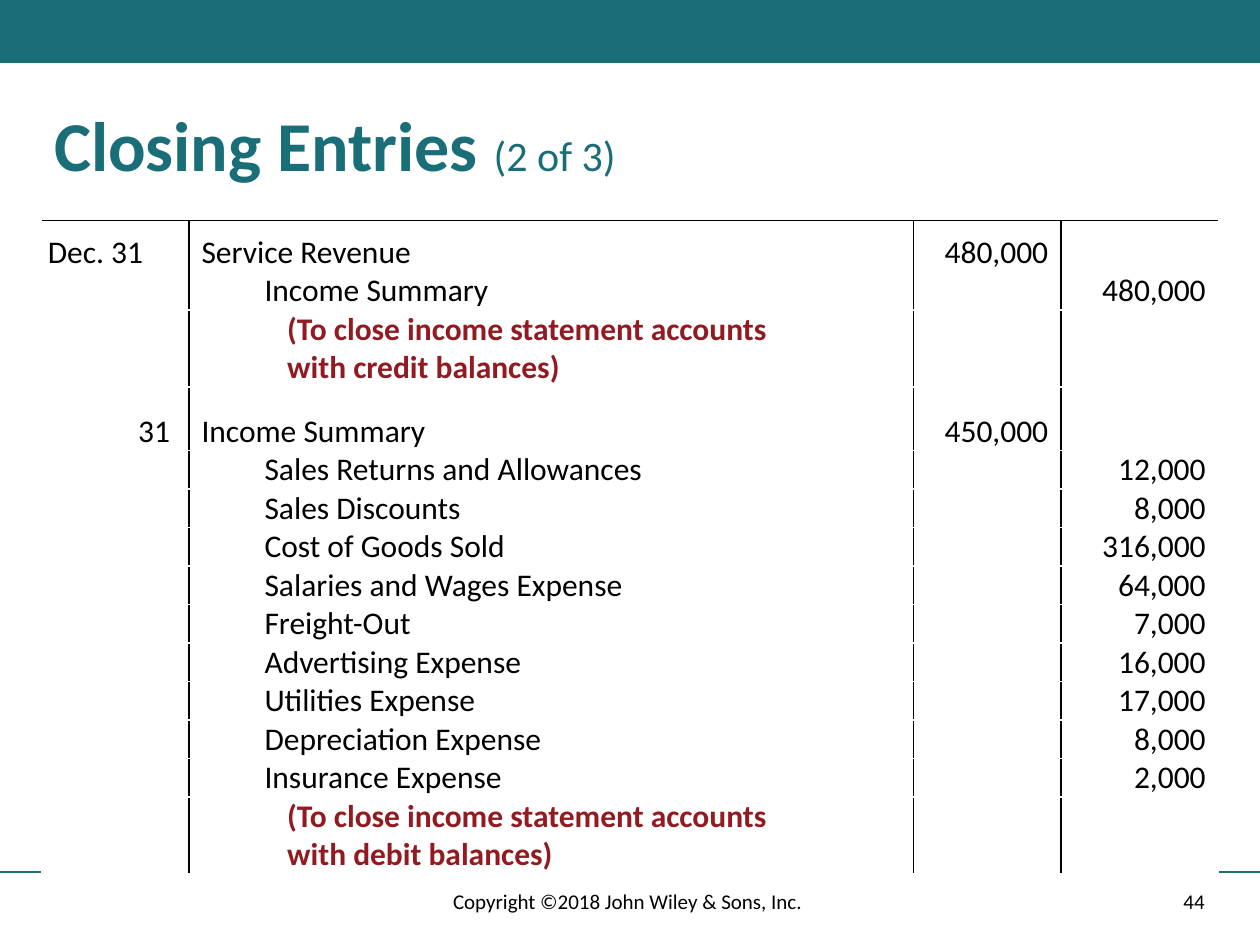
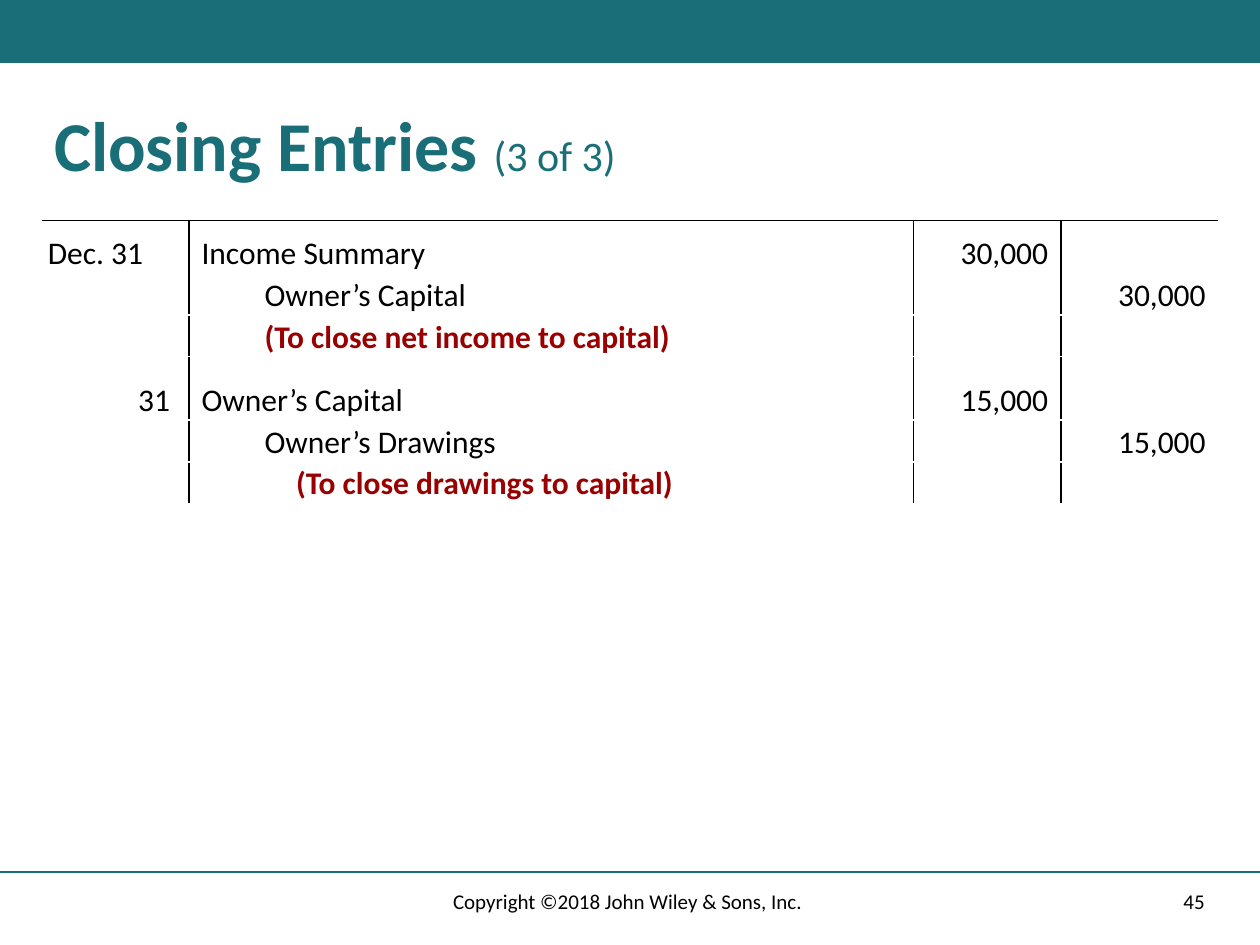
from dataclasses import dataclass

import pptx
import pptx.util
import pptx.dml.color
import pptx.enum.shapes
import pptx.enum.text
import pptx.oxml
import pptx.oxml.ns

Inches = pptx.util.Inches
Pt = pptx.util.Pt
RGBColor = pptx.dml.color.RGBColor
Align = pptx.enum.text.PP_ALIGN
Anchor = pptx.enum.text.MSO_ANCHOR

TEAL = RGBColor(0x19, 0x6E, 0x78)
BLACK = RGBColor(0, 0, 0)
WHITE = RGBColor(0xFF, 0xFF, 0xFF)
MAROON = RGBColor(0x91, 0x1B, 0x21)
DARK_RED = RGBColor(0x99, 0, 0)
FONT = "Calibri"
COPYRIGHT = "Copyright ©2018 John Wiley & Sons, Inc. "
MARGIN = 0.33
CONTENT_WIDTH = 9.33
JOURNAL_COLUMNS = (1.17, 5.75, 1.17, 1.25)
TITLE_ONLY = 5


@dataclass
class JournalLine:
    account: str
    date: str = ""
    debit: str = ""
    credit: str = ""
    height: float = 0.29
    top: float = 0
    indent: float = 0
    level: int = 0
    color: RGBColor = BLACK
    bold: bool = False


def credit_line(account, amount, height=0.29):
    return JournalLine(account, credit=amount, height=height, indent=0.5, level=1)


def explanation(text, color, height, indent, level=0):
    return JournalLine(text, color=color, bold=True, height=height,
                       indent=indent, level=level)


def add_run(paragraph, text, size, color=BLACK, bold=False):
    run = paragraph.add_run()
    run.text = text
    run.font.name = FONT
    run.font.size = Pt(size)
    run.font.bold = bold
    run.font.color.rgb = color


def add_band(slide):
    band = slide.shapes.add_shape(pptx.enum.shapes.MSO_SHAPE.RECTANGLE,
                                  0, 0, Inches(10), Inches(0.5))
    band.shadow.inherit = False
    band.fill.solid()
    band.fill.fore_color.rgb = TEAL
    band.line.fill.background()


def add_footer_rule(slide):
    rule = slide.shapes.add_connector(pptx.enum.shapes.MSO_CONNECTOR.STRAIGHT,
                                      0, Inches(6.92), Inches(10), Inches(6.92))
    rule.line.color.rgb = TEAL
    rule.line.width = Pt(1)
    properties = rule.element.spPr
    properties.append(properties.makeelement(pptx.oxml.ns.qn("a:effectLst"), {}))


def add_footer_text(slide, text, left, width, align):
    footer = slide.shapes.add_textbox(Inches(left), Inches(6.95),
                                      Inches(width), Inches(0.4)).text_frame
    footer.word_wrap = True
    footer.vertical_anchor = Anchor.MIDDLE
    footer.paragraphs[0].alignment = align
    add_run(footer.paragraphs[0], text, 12)


def set_title(slide, part):
    title = slide.shapes.title
    title.left, title.top = Inches(MARGIN), Inches(0.83)
    title.width, title.height = Inches(CONTENT_WIDTH), Inches(0.83)
    title.text_frame.vertical_anchor = Anchor.TOP
    heading = title.text_frame.paragraphs[0]
    heading.alignment = Align.LEFT
    heading.line_spacing = 0.9
    add_run(heading, "Closing Entries ", 40, TEAL, bold=True)
    add_run(heading, f"({part} of 3)", 24, TEAL)


def set_borders(cell, **colors):
    """Draw 1 pt borders on sides L, R, T and B; a colour of None hides a side."""
    properties = cell._tc.get_or_add_tcPr()
    namespace = pptx.oxml.ns.nsdecls("a")
    for side in "LRTB":
        color = colors[side]
        fill = ("<a:noFill/>" if color is None else
                f'<a:solidFill><a:srgbClr val="{color}"/></a:solidFill>')
        properties.append(pptx.oxml.parse_xml(
            f'<a:ln{side} {namespace} w="12700">{fill}</a:ln{side}>'))


def style_cell(cell, row, column, top, left=0, right=0):
    last_column = len(JOURNAL_COLUMNS) - 1
    set_borders(cell,
                L=WHITE if column == 0 else BLACK,
                R=WHITE if column == last_column else BLACK,
                T={0: BLACK, 1: None}.get(row, WHITE),
                B=None if row == 0 else WHITE)
    cell.fill.solid()
    cell.fill.fore_color.rgb = WHITE
    cell.vertical_anchor = Anchor.BOTTOM
    cell.margin_left, cell.margin_right = Inches(left), Inches(right)
    cell.margin_top, cell.margin_bottom = Inches(top), 0


def write_cell(cell, text, align=Align.LEFT, color=BLACK, bold=False,
               indent=0, level=0):
    for number, line in enumerate(text.split("\n")):
        frame = cell.text_frame
        paragraph = frame.add_paragraph() if number else frame.paragraphs[0]
        paragraph.alignment = align
        paragraph.level = level
        properties = paragraph._p.get_or_add_pPr()
        properties.set("marL", str(Inches(indent)))
        properties.set("indent", "0")
        if line:
            add_run(paragraph, line, 18, color, bold)
        else:
            paragraph.font.size = Pt(18)


def add_journal(slide, lines):
    journal = slide.shapes.add_table(
        len(lines), len(JOURNAL_COLUMNS), Inches(MARGIN), Inches(1.75),
        Inches(CONTENT_WIDTH), Inches(sum(line.height for line in lines))).table
    journal.first_row = journal.horz_banding = False
    for column, width in zip(journal.columns, JOURNAL_COLUMNS):
        column.width = Inches(width)
    for row, line in enumerate(lines):
        journal.rows[row].height = Inches(line.height)
        date, account, debit, credit = journal.rows[row].cells
        first = row == 0
        style_cell(date, row, 0, line.top, left=0.05, right=0.1 if first else 0.15)
        style_cell(account, row, 1, line.top, left=0.1)
        style_cell(debit, row, 2, line.top, right=0.1)
        style_cell(credit, row, 3, line.top, right=0.1)
        write_cell(date, line.date, Align.LEFT if first else Align.RIGHT)
        write_cell(account, line.account, color=line.color, bold=line.bold,
                   indent=line.indent, level=line.level)
        write_cell(debit, line.debit, Align.RIGHT)
        write_cell(credit, line.credit, Align.RIGHT)


def add_closing_slide(deck, part, number, lines):
    slide = deck.slides.add_slide(deck.slide_layouts[TITLE_ONLY])
    add_band(slide)
    add_footer_rule(slide)
    set_title(slide, part)
    add_journal(slide, lines)
    add_footer_text(slide, str(number), 7.06, 2.6, Align.RIGHT)
    add_footer_text(slide, COPYRIGHT, 3.31, 3.38, Align.CENTER)


def main():
    deck = pptx.Presentation()
    deck.slide_width, deck.slide_height = Inches(10), Inches(7.5)

    debit_balances = (
        ("Sales Returns and Allowances", "12,000"),
        ("Sales Discounts", "8,000"),
        ("Cost of Goods Sold", "316,000"),
        ("Salaries and Wages Expense", "64,000"),
        ("Freight-Out", "7,000"),
        ("Advertising Expense", "16,000"),
        ("Utilities Expense", "17,000"),
        ("Depreciation Expense", "8,000"),
        ("Insurance Expense", "2,000"),
    )
    add_closing_slide(deck, 2, 44, [
        JournalLine("Service Revenue", "Dec. 31", "480,000", height=0.38, top=0.1),
        credit_line("Income Summary", "480,000"),
        explanation("(To close income statement accounts\nwith credit balances)",
                    MAROON, 0.57, 0.68),
        JournalLine("Income Summary", "31", "450,000", height=0.47, top=0.2),
        *(credit_line(account, amount) for account, amount in debit_balances),
        explanation("(To close income statement accounts\nwith debit balances)",
                    MAROON, 0.57, 0.68),
    ])
    add_closing_slide(deck, 3, 45, [
        JournalLine("Income Summary", "Dec. 31", "30,000", height=0.42),
        credit_line("Owner’s Capital", "30,000", 0.33),
        explanation("(To close net income to capital)", DARK_RED, 0.33, 0.5, 2),
        JournalLine("Owner’s Capital", "31", "15,000", height=0.47, top=0.2),
        credit_line("Owner’s Drawings", "15,000", 0.33),
        explanation("(To close drawings to capital)", DARK_RED, 0.33, 0.75, 2),
    ])
    deck.save("out.pptx")


if __name__ == "__main__":
    main()
